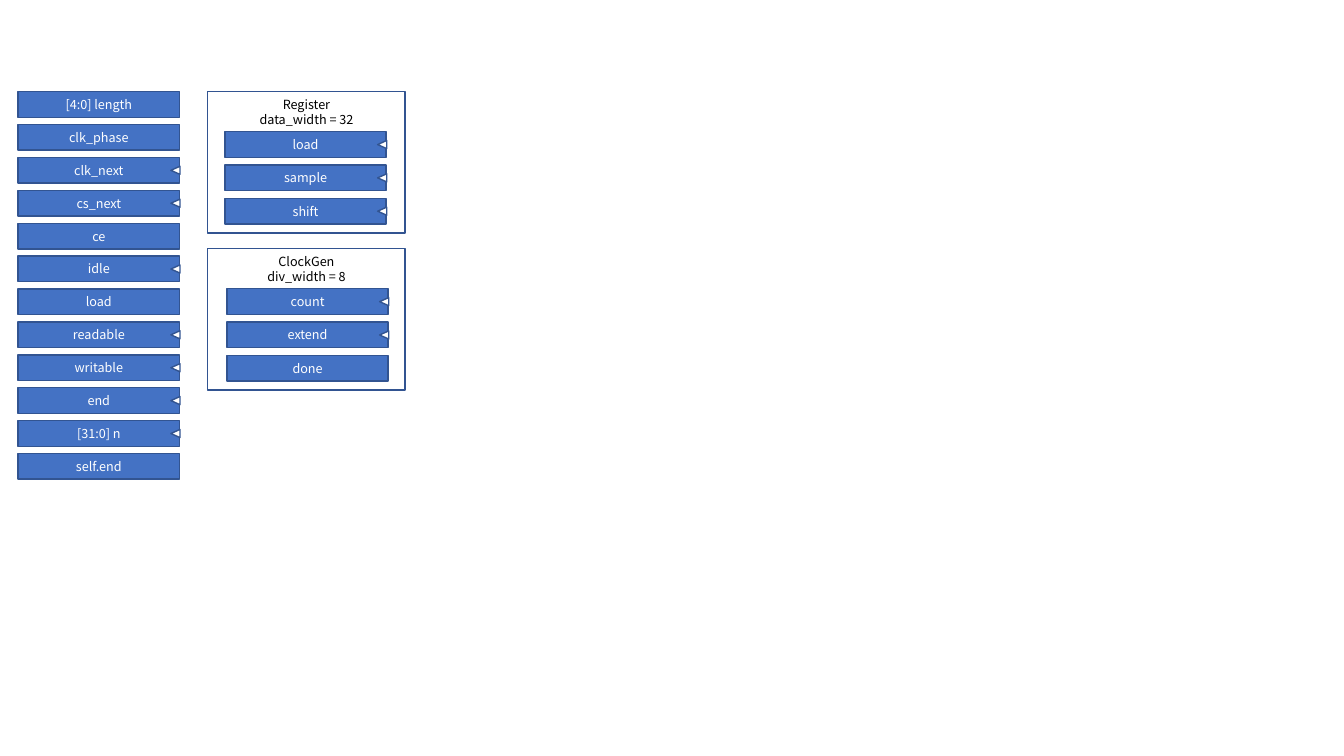
"""Draw a column of signals beside the Register and ClockGen blocks."""
from pptx import Presentation
from pptx.dml.color import RGBColor
from pptx.enum.shapes import MSO_SHAPE
from pptx.enum.text import MSO_ANCHOR, PP_ALIGN
from pptx.util import Pt

SIGNALS = [
    ("[4:0] length", False), ("clk_phase", False), ("clk_next", True),
    ("cs_next", True), ("ce", False), ("idle", True), ("load", False),
    ("readable", True), ("writable", True), ("end", True),
    ("[31:0] n", True), ("self.end", False),
]
BLOCKS = [
    (["Register", "data_width = 32"], 12.3,
     [("load", True), ("sample", True), ("shift", True)]),
    (["ClockGen", "div_width = 8"], 13.7,
     [("count", True), ("extend", True), ("done", False)]),
]
THEME = {
    "fill": RGBColor(0x44, 0x72, 0xC4),
    "line": RGBColor(0x32, 0x54, 0x91),
    "light": RGBColor(255, 255, 255),
    "dark": RGBColor(0, 0, 0),
    "font": "Noto Sans CJK KR",
    "size": Pt(9),
    "lead": Pt(10.7),
    "rule": Pt(1),
}
LEFT, TOP = 13, 65.5
BAR_W, BAR_H = 115.2, 18.3
PITCH, INNER = 23.5, 23.8
BLOCK_X, BLOCK_W, BLOCK_H, BLOCK_STEP = 148.4, 141, 101, 112.2
HEAD = 28.6
MARK_W, MARK_H = 5.8, 6.5

deck = Presentation()
deck.slide_width, deck.slide_height = Pt(960), Pt(540)
slide = deck.slides.add_slide(deck.slide_layouts[6])


def draw(kind, x, y, w, h, fill=None):
    """Add an outlined shape, filled when a colour is given."""
    shape = slide.shapes.add_shape(kind, Pt(x), Pt(y), Pt(w), Pt(h))
    shape.shadow.inherit = False
    if fill is None:
        shape.fill.background()
    else:
        shape.fill.solid()
        shape.fill.fore_color.rgb = fill
    shape.line.color.rgb = THEME["line"]
    shape.line.width = THEME["rule"]
    return shape


def write(shape, lines, color, anchor):
    """Put centred lines of text in a shape."""
    frame = shape.text_frame
    frame.word_wrap = True
    frame.vertical_anchor = anchor
    frame.text = "\n".join(lines)
    for para in frame.paragraphs:
        para.alignment = PP_ALIGN.CENTER
        para.line_spacing = THEME["lead"]
        para.font.name = THEME["font"]
        para.font.size = THEME["size"]
        para.font.color.rgb = color


def stack(rows, x, top, pitch):
    """Stack signal bars, with a marker on each one that is flagged."""
    for step, (name, flag) in enumerate(rows):
        y = top + step * pitch
        bar = draw(MSO_SHAPE.RECTANGLE, x, y, BAR_W, BAR_H, THEME["fill"])
        write(bar, [name], THEME["light"], MSO_ANCHOR.MIDDLE)
        if flag:
            mark = draw(MSO_SHAPE.ISOSCELES_TRIANGLE, x + BAR_W - MARK_W,
                        y + (BAR_H - MARK_H) / 2, MARK_W, MARK_H,
                        THEME["light"])
            mark.rotation = 270


stack(SIGNALS, LEFT, TOP, PITCH)
for order, (title, inset, rows) in enumerate(BLOCKS):
    y = TOP + order * BLOCK_STEP
    block = draw(MSO_SHAPE.RECTANGLE, BLOCK_X, y, BLOCK_W, BLOCK_H)
    write(block, title, THEME["dark"], MSO_ANCHOR.TOP)
    stack(rows, BLOCK_X + inset, y + HEAD, INNER)

deck.save("out.pptx")
